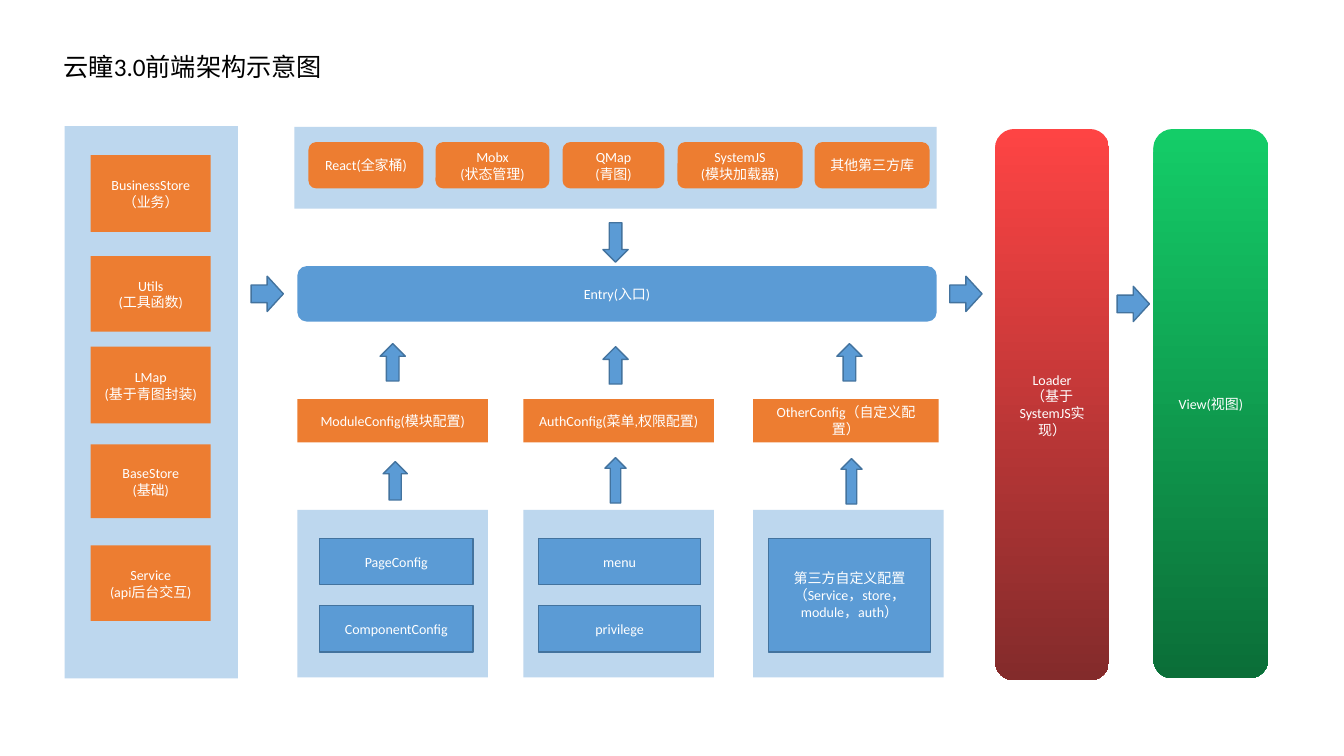
from pptx import Presentation
from pptx.dml.color import RGBColor
from pptx.enum.shapes import MSO_SHAPE
from pptx.enum.text import MSO_ANCHOR, PP_ALIGN
from pptx.util import Inches, Pt

RECT = MSO_SHAPE.RECTANGLE
ROUND = MSO_SHAPE.ROUNDED_RECTANGLE
UP = MSO_SHAPE.UP_ARROW
DOWN = MSO_SHAPE.DOWN_ARROW
RIGHT = MSO_SHAPE.RIGHT_ARROW
LEFT_ALIGN = PP_ALIGN.LEFT
CENTER = PP_ALIGN.CENTER
MIDDLE = MSO_ANCHOR.MIDDLE

FONT = "Calibri"
COLORS = {
    "panel": "BDD7EE",
    "orange": "ED7D31",
    "blue": "5B9BD5",
    "outline": "43739E",
    "white": "FFFFFF",
    "black": "000000",
    "red_top": "FE4444",
    "red_bottom": "832B2B",
    "green_top": "14CD68",
    "green_bottom": "0B6E38",
}


def rgb(color):
    return RGBColor.from_string(COLORS[color])


def write(frame, text, size=10, color="white", align=CENTER):
    frame.word_wrap = True
    for index, line in enumerate(text.split("\n")):
        paragraph = frame.paragraphs[0] if index == 0 else frame.add_paragraph()
        paragraph.alignment = align
        run = paragraph.add_run()
        run.text = line
        run.font.name = FONT
        run.font.size = Pt(size)
        run.font.color.rgb = rgb(color)


def add_block(slide, kind, place, fill, text="", outlined=False):
    block = slide.shapes.add_shape(kind, *map(Inches, place))
    block.shadow.inherit = False
    block.fill.solid()
    block.fill.fore_color.rgb = rgb(fill)
    if outlined:
        block.line.color.rgb = rgb("outline")
        block.line.width = Pt(1)
    else:
        block.line.fill.background()
    if text:
        block.text_frame.vertical_anchor = MIDDLE
        write(block.text_frame, text)
    return block


def add_arrow(slide, kind, place):
    add_block(slide, kind, place, "blue", outlined=True)


def add_stage(slide, place, hue, text):
    stage = add_block(slide, ROUND, place, f"{hue}_top", text)
    stage.fill.gradient()
    stage.fill.gradient_angle = 270
    for stop, end, position in zip(stage.fill.gradient_stops, ("top", "bottom"), (0, 1)):
        stop.color.rgb = rgb(f"{hue}_{end}")
        stop.position = position


def add_title(slide, text):
    title = slide.shapes.add_textbox(*map(Inches, (0.53, 0.46, 11.68, 0.4)))
    write(title.text_frame, text, size=18, color="black", align=LEFT_ALIGN)


def add_modules(slide):
    add_block(slide, RECT, (0.64, 1.25, 1.72, 5.48), "panel")
    modules = [
        (1.54, 0.76, "BusinessStore（业务）"),
        (2.54, 0.75, "Utils\n(工具函数)"),
        (3.44, 0.76, "LMap\n(基于青图封装)"),
        (4.41, 0.73, "BaseStore\n(基础)"),
        (5.41, 0.75, "Service\n(api后台交互)"),
    ]
    for top, height, text in modules:
        add_block(slide, RECT, (0.9, top, 1.19, height), "orange", text)


def add_libraries(slide):
    add_block(slide, RECT, (2.92, 1.26, 6.37, 0.81), "panel")
    libraries = [
        (3.06, 1.14, "React(全家桶)"),
        (4.32, 1.13, "Mobx\n(状态管理)"),
        (5.58, 1.01, "QMap\n(青图)"),
        (6.72, 1.24, "SystemJS\n(模块加载器)"),
        (8.08, 1.14, "其他第三方库"),
    ]
    for left, width, text in libraries:
        add_block(slide, ROUND, (left, 1.41, width, 0.46), "orange", text)


def add_configs(slide):
    configs = [
        (2.95, 1.89, "ModuleConfig(模块配置)", 0.22, 1.52, 0.46,
         ["PageConfig", "ComponentConfig"]),
        (5.19, 1.89, "AuthConfig(菜单,权限配置)", 0.15, 1.61, 0.46,
         ["menu", "privilege"]),
        (7.47, 1.84, "OtherConfig（自定义配置）", 0.15, 1.61, 1.13,
         ["第三方自定义配置（Service，store，module，auth）"]),
    ]
    for left, width, name, inset, part_width, part_height, parts in configs:
        add_block(slide, RECT, (left, 3.96, width, 0.43), "orange", name)
        add_block(slide, RECT, (left, 5.06, 1.89, 1.66), "panel")
        for row, part in enumerate(parts):
            place = (left + inset, 5.34 + 0.67 * row, part_width, part_height)
            add_block(slide, RECT, place, "blue", part, outlined=True)


def add_flow(slide):
    arrows = [
        (DOWN, 5.98, 2.21, 0.25, 0.39),
        (UP, 3.77, 3.41, 0.25, 0.37),
        (UP, 5.98, 3.44, 0.25, 0.37),
        (UP, 8.3, 3.41, 0.25, 0.37),
        (UP, 3.8, 4.58, 0.24, 0.38),
        (UP, 6, 4.54, 0.21, 0.45),
        (UP, 8.34, 4.55, 0.21, 0.45),
        (RIGHT, 2.49, 2.74, 0.32, 0.35),
        (RIGHT, 9.42, 2.74, 0.32, 0.35),
        (RIGHT, 11.08, 2.84, 0.32, 0.35),
    ]
    for kind, *place in arrows:
        add_arrow(slide, kind, place)


def main():
    deck = Presentation()
    deck.slide_width = Inches(13.33)
    deck.slide_height = Inches(7.5)
    slide = deck.slides.add_slide(deck.slide_layouts[6])
    add_title(slide, "云瞳3.0前端架构示意图")
    add_modules(slide)
    add_libraries(slide)
    add_block(slide, ROUND, (2.95, 2.64, 6.34, 0.55), "blue", "Entry(入口)")
    add_configs(slide)
    add_stage(slide, (9.87, 1.28, 1.13, 5.47), "red", "Loader\n（基于SystemJS实现）")
    add_stage(slide, (11.44, 1.28, 1.14, 5.45), "green", "View(视图)")
    add_flow(slide)
    deck.save("out.pptx")


main()
